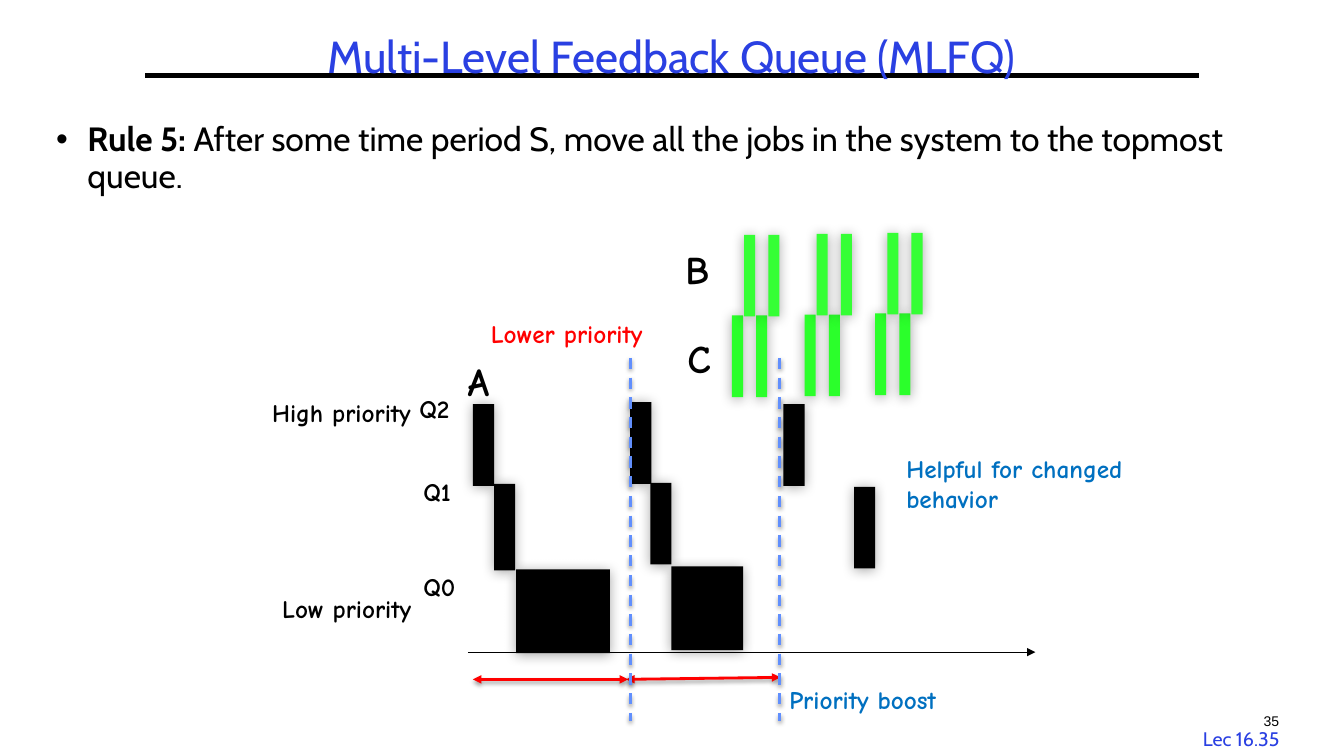
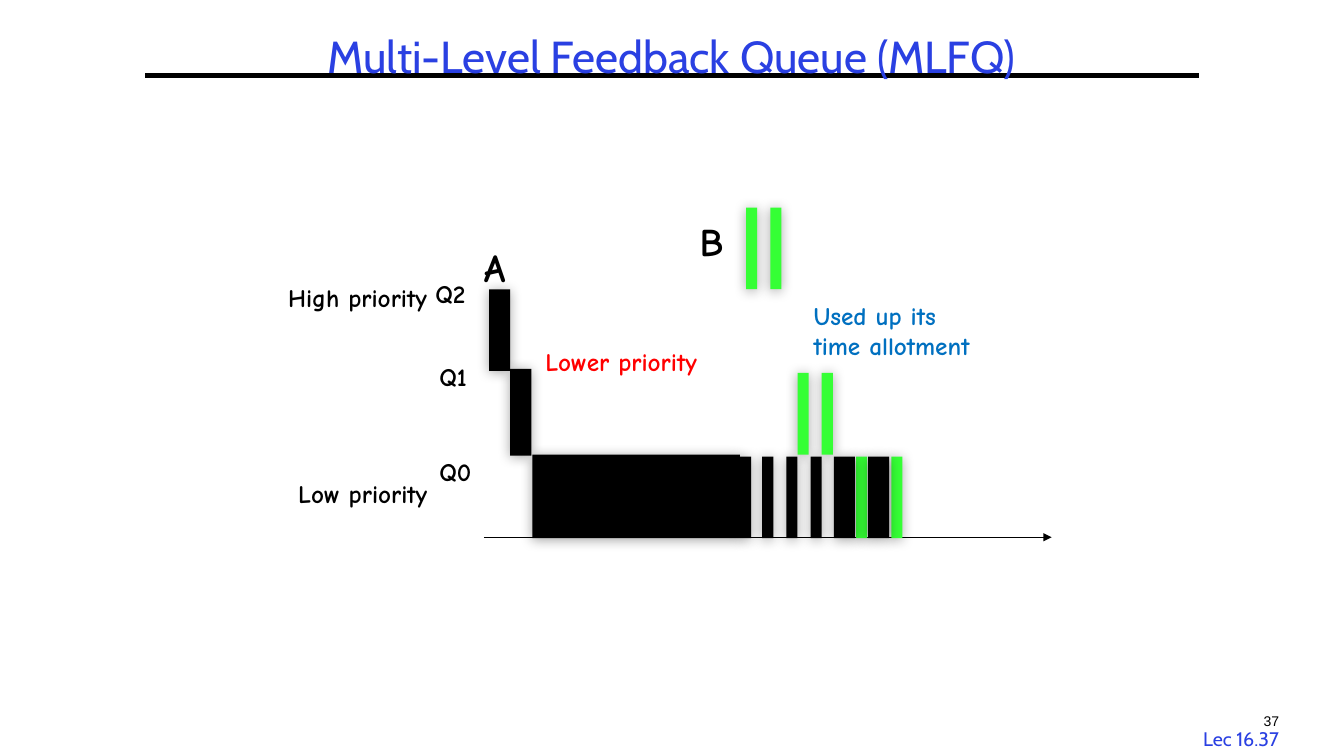
from dataclasses import dataclass
from typing import Optional

from lxml.etree import SubElement
from pptx import Presentation
from pptx.dml.color import RGBColor
from pptx.enum.dml import MSO_LINE
from pptx.enum.shapes import MSO_CONNECTOR, MSO_SHAPE
from pptx.enum.text import MSO_ANCHOR, MSO_AUTO_SIZE, PP_ALIGN
from pptx.oxml.ns import qn
from pptx.util import Emu, Pt

EMU_PER_PX = 9144  # 100 px to the inch
EMU_PER_POINT = 12700
COLORS = {
    "black": "000000",
    "title": "2A40E2",
    "note": "0070C0",
    "red": "FF0000",
    "boost": "618FFD",
    "job_b": "35FF35",
    "job_c": "2BFF2B",
}
TITLE = "Multi-Level Feedback Queue (MLFQ)"
HEADING_FONT, LABEL_FONT, NUMBER_FONT = "Cabin", "Comic Neue", "Arial"
LINE_SPACING = 0.9

BAR_HEIGHT = 81
JOB_WIDTH = 21
SLICE_WIDTH = 11


@dataclass(frozen=True)
class Label:
    text: str
    left: int
    top: int
    width: int
    height: int = 40
    size: int = 18
    color: str = "black"
    font: str = LABEL_FONT
    bold: bool = True
    align: PP_ALIGN = PP_ALIGN.LEFT


@dataclass(frozen=True)
class Bar:
    left: int
    top: int
    width: int = JOB_WIDTH
    height: int = BAR_HEIGHT
    color: str = "black"


@dataclass(frozen=True)
class Shadow:
    blur: float
    distance: float
    opacity: int


@dataclass(frozen=True)
class Line:
    start: tuple[int, int]
    end: tuple[int, int]
    color: str = "black"
    weight: float = 2
    dashed: bool = False
    arrow_start: bool = False
    arrow_end: bool = False
    shadow: Optional[Shadow] = None


BAR_SHADOW = Shadow(blur=9, distance=1, opacity=35)
LINE_SHADOW = Shadow(blur=3.1, distance=1.6, opacity=38)


def px(value: int) -> Emu:
    return Emu(value * EMU_PER_PX)


def rgb(name: str) -> RGBColor:
    return RGBColor.from_string(COLORS[name])


def set_shadow(shape, shadow: Optional[Shadow]) -> None:
    """Give the shape a downward shadow, or an empty effect list."""
    effects = SubElement(shape._element.spPr, qn("a:effectLst"))
    if shadow is None:
        return
    outer = SubElement(
        effects,
        qn("a:outerShdw"),
        blurRad=str(round(shadow.blur * EMU_PER_POINT)),
        dist=str(round(shadow.distance * EMU_PER_POINT)),
        dir="5400000",
        rotWithShape="0",
    )
    color = SubElement(outer, qn("a:srgbClr"), val=COLORS["black"])
    SubElement(color, qn("a:alpha"), val=str(shadow.opacity * 1000))


def format_font(font, name: str, size: int, color: str, bold: bool = False) -> None:
    font.name = name
    font.size = Pt(size)
    font.bold = bold
    font.color.rgb = rgb(color)


def draw_label(slide, label: Label) -> None:
    box = slide.shapes.add_textbox(
        px(label.left), px(label.top), px(label.width), px(label.height)
    )
    text_frame = box.text_frame
    text_frame.word_wrap = True
    text_frame.text = label.text
    paragraph = text_frame.paragraphs[0]
    paragraph.alignment = label.align
    format_font(paragraph.runs[0].font, label.font, label.size, label.color, label.bold)


def draw_bar(slide, bar: Bar) -> None:
    shape = slide.shapes.add_shape(
        MSO_SHAPE.RECTANGLE, px(bar.left), px(bar.top), px(bar.width), px(bar.height)
    )
    shape.fill.solid()
    shape.fill.fore_color.rgb = rgb(bar.color)
    shape.line.fill.background()
    set_shadow(shape, BAR_SHADOW)


def draw_line(slide, line: Line):
    connector = slide.shapes.add_connector(
        MSO_CONNECTOR.STRAIGHT, *map(px, line.start), *map(px, line.end)
    )
    connector.line.color.rgb = rgb(line.color)
    connector.line.width = Pt(line.weight)
    if line.dashed:
        connector.line.dash_style = MSO_LINE.DASH
    outline = connector.line._get_or_add_ln()
    for tag, wanted in (("a:headEnd", line.arrow_start), ("a:tailEnd", line.arrow_end)):
        if wanted:
            SubElement(outline, qn(tag), type="triangle")
    set_shadow(connector, line.shadow)
    return connector


def draw_all(slide, bars: list[Bar], lines: list[Line], labels: list[Label]) -> None:
    for bar in bars:
        draw_bar(slide, bar)
    for line in lines:
        draw_line(slide, line)
    for label in labels:
        draw_label(slide, label)


def add_lecture_slide(presentation, number: int):
    """Add a slide with the shared title, rule and footers."""
    slide = presentation.slides.add_slide(presentation.slide_layouts[5])
    title = slide.shapes.title
    title.left, title.top, title.width, title.height = map(px, (46, 30, 1240, 58))
    text_frame = title.text_frame
    text_frame.text = TITLE
    text_frame.word_wrap = True
    text_frame.auto_size = MSO_AUTO_SIZE.NONE
    text_frame.vertical_anchor = MSO_ANCHOR.MIDDLE
    paragraph = text_frame.paragraphs[0]
    paragraph.alignment = PP_ALIGN.CENTER
    paragraph.line_spacing = LINE_SPACING
    format_font(paragraph.runs[0].font, HEADING_FONT, 32, "title")

    rule = draw_line(slide, Line((144, 75), (1189, 75), weight=3))
    title._element.addprevious(rule._element)
    draw_label(slide, Label(f"Lec 16.{number}", 1177, 716, 108, 33, 14, "title",
                            HEADING_FONT, False, PP_ALIGN.CENTER))
    draw_label(slide, Label(str(number), 1236, 702, 50, 40, 10, "black",
                            NUMBER_FONT, False, PP_ALIGN.CENTER))
    return slide


def draw_queue_chart(slide, left: int, base: int, lowest_width: int) -> None:
    """Draw the time axis from (left, base), the queue labels and job A's descent."""
    bars = [
        Bar(left + 5, base - 246),
        Bar(left + 26, base - 167, height=86),
        Bar(left + 48, base - 82, lowest_width, 83),
    ]
    axis = Line((left, base), (left + 563, base), weight=0.75, arrow_end=True)
    labels = [
        Label("High priority", left - 204, base - 258, 176),
        Label("Low priority", left - 194, base - 63, 167),
        Label("A", left - 10, base - 297, 49, 57, 28),
        Label("Q0", left - 54, base - 85, 58),
        Label("Q1", left - 54, base - 179, 58),
        Label("Q2", left - 58, base - 262, 58),
    ]
    draw_all(slide, bars, [axis], labels)


def draw_rule_text(slide, heading: str, text: str) -> None:
    box = slide.shapes.add_textbox(px(46), px(117), px(1240), px(562))
    box.text_frame.word_wrap = True
    paragraph = box.text_frame.paragraphs[0]
    properties = paragraph._p.get_or_add_pPr()
    indent = px(31)
    properties.set("marL", str(indent))
    properties.set("indent", str(-indent))
    SubElement(properties, qn("a:buFont"), typeface=NUMBER_FONT)
    SubElement(properties, qn("a:buChar"), char="•")
    paragraph.line_spacing = LINE_SPACING
    for content, bold in ((heading, True), (text, False)):
        run = paragraph.add_run()
        run.text = content
        format_font(run.font, HEADING_FONT, 24, "black", bold)


def build_boost_slide(presentation) -> None:
    slide = add_lecture_slide(presentation, 35)
    draw_rule_text(
        slide,
        "Rule 5:",
        " After some time period S, move all the jobs in the system to the topmost queue.",
    )
    draw_queue_chart(slide, left=464, base=647, lowest_width=93)

    slices = [
        Bar(left + shift + step, top + drop, SLICE_WIDTH, color=color)
        for color, shift, drop in (("job_c", -12, 80), ("job_b", 0, 0))
        for left, top in ((738, 233), (810, 232), (880, 231))
        for step in (0, 24)
    ]
    later_runs = [
        Bar(625, 399),
        Bar(645, 479),
        Bar(666, 562, 71, 83),
        Bar(777, 401),
        Bar(847, 483),
    ]
    periods = [
        Line(start, end, "red", arrow_start=True, arrow_end=True, shadow=LINE_SHADOW)
        for start, end in (((469, 674), (623, 674)), ((621, 674), (774, 672)))
    ]
    boosts = [
        Line((x, 355), (x, 715), "boost", dashed=True, shadow=LINE_SHADOW)
        for x in (773, 625)
    ]
    labels = [
        Label("B", 670, 238, 45, 57, 28),
        Label("C", 672, 327, 45, 57, 28),
        Label("Lower priority", 477, 311, 193, color="red"),
        Label("Priority boost", 773, 674, 185, color="note"),
        Label("Helpful for changed behavior", 889, 445, 242, 71, color="note"),
    ]
    draw_all(slide, slices + later_runs, periods + boosts, labels)


def build_allotment_slide(presentation) -> None:
    slide = add_lecture_slide(presentation, 37)
    draw_queue_chart(slide, left=480, base=533, lowest_width=206)

    slices = [
        Bar(left, top, SLICE_WIDTH, color=color)
        for color, top, lefts in (
            ("black", 453, (734, 756, 780, 804)),
            ("job_b", 206, (740, 764)),
            ("job_b", 370, (791, 815)),
            ("job_b", 453, (849, 884)),
        )
        for left in lefts
    ]
    long_runs = [Bar(left, 453) for left in (827, 861)]
    labels = [
        Label("B", 684, 211, 45, 57, 28),
        Label("Lower priority", 531, 339, 193, color="red"),
        Label("Used up its time allotment", 797, 293, 185, 101, color="note"),
    ]
    draw_all(slide, slices + long_runs, [], labels)


def main() -> None:
    presentation = Presentation()
    presentation.slide_width = px(1333)
    presentation.slide_height = px(750)
    build_boost_slide(presentation)
    build_allotment_slide(presentation)
    presentation.save("out.pptx")


if __name__ == "__main__":
    main()
